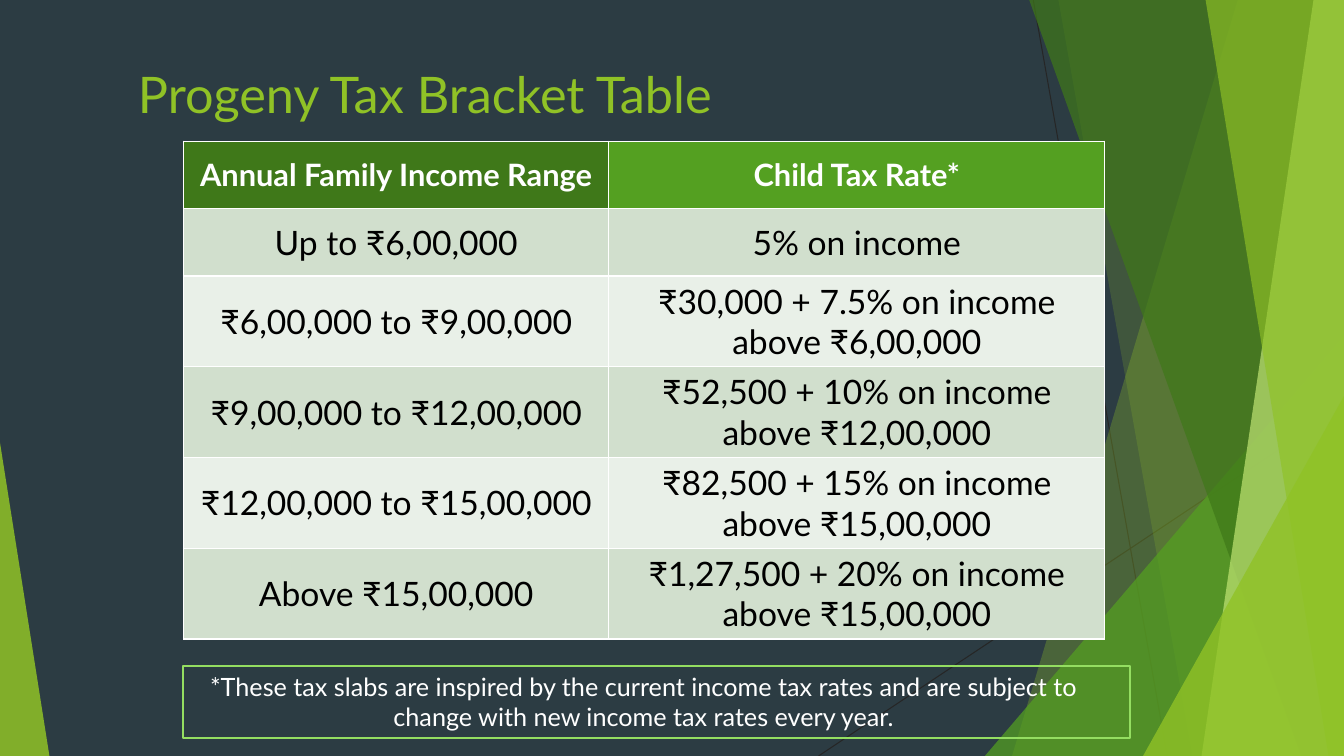
from lxml import etree
from pptx import Presentation
from pptx.dml.color import RGBColor as Rgb
from pptx.enum.shapes import MSO_CONNECTOR as Link, MSO_SHAPE as Kind
from pptx.enum.text import MSO_ANCHOR as Anchor, MSO_AUTO_SIZE as Auto, PP_ALIGN as Align
from pptx.oxml import parse_xml
from pptx.oxml.ns import qn
from pptx.util import Inches, Pt

DRAW = "http://schemas.openxmlformats.org/drawingml/2006/main"
LIME, GREEN, DARK = "90C226", "54A021", "3F7819"

deck = Presentation()
deck.slide_width, deck.slide_height = Inches(13.33), Inches(7.5)
slide = deck.slides.add_slide(deck.slide_layouts[6])
shapes = slide.shapes


def paint(fill, color, alpha=100):
    fill.solid()
    fill.fore_color.rgb = Rgb.from_string(color)
    if alpha < 100:
        tint = fill._xPr.find(qn("a:solidFill"))[0]
        etree.SubElement(tint, qn("a:alpha")).set("val", str(alpha * 1000))


def place(x, y, w, h):
    """Turn percentages of the slide into lengths."""
    across, down = deck.slide_width / 100, deck.slide_height / 100
    return [round(v) for v in (x * across, y * down, w * across, h * down)]


def write(frame, text, size, color, bold=False, align=Align.LEFT):
    frame.word_wrap = True
    par = frame.paragraphs[0]
    par.alignment = align
    run = par.add_run()
    run.text = text
    run.font.name, run.font.size, run.font.bold = "Lato", Pt(size), bold
    run.font.color.rgb = Rgb.from_string(color)


def label(box, text, size, color, **style):
    frame = shapes.add_textbox(*place(*box)).text_frame
    frame.auto_size = Auto.SHAPE_TO_FIT_TEXT
    write(frame, text, size, color, **style)


def finish(shape, color, alpha):
    shape.shadow.inherit = False
    paint(shape.fill, color, alpha)
    shape.line.fill.background()


def thread(x1, y1, x2, y2):
    line = shapes.add_connector(Link.STRAIGHT, *place(x1, y1, x2, y2))
    line.line.width = Pt(0.75)
    line.line.color.rgb = Rgb.from_string("262626")
    etree.SubElement(line._element.spPr, qn("a:effectLst"))


def facet(box, top, foot, color, alpha):
    """Fill from a slanted left edge to the right side of the box."""
    x, y, w, h = place(*box)
    left, low = x + round(w * top / 100), x + round(w * foot / 100)
    pen = shapes.build_freeform(left, y)
    pen.add_line_segments([(x + w, y), (x + w, y + h), (low, y + h)])
    finish(pen.convert_to_shape(), color, alpha)


def wedge(box, tip, color, alpha):
    shape = shapes.add_shape(Kind.ISOSCELES_TRIANGLE, *place(*box))
    shape.adjustments[0] = tip
    finish(shape, color, alpha)


def backdrop(box):
    x, y, w, h = box
    right, base = x + w, y + h
    paint(slide.background.fill, "2C3C43")
    thread(76.88, y, 86.85, base)
    thread(right, 53.73, 60.9, base)

    # Slanted facets and corner wedges
    facet(box, 92.1, 75.3, LIME, 30)
    facet(box, 78.75, 88.73, LIME, 20)
    wedge((73.28, 44.4, right - 73.28, base - 44.4), 1, GREEN, 72)
    facet(box, 76.58, 96.83, DARK, 70)
    facet(box, 97.73, 89.4, "C0E474", 70)
    facet(box, 89.7, 98.85, LIME, 65)
    wedge((85.05, 52.4, right - 85.05, base - 52.4), 1, LIME, 80)
    wedge((x, 58.53, 3.68, base - 58.53), 0, LIME, 85)


def edge(cell):
    props = cell._tc.get_or_add_tcPr()
    for side in "LRTB":
        props.append(parse_xml(
            f'<a:ln{side} xmlns:a="{DRAW}" w="12700"><a:solidFill>'
            f'<a:srgbClr val="FFFFFF"/></a:solidFill></a:ln{side}>'))


def brackets(box, rows, cols, tall):
    x, y, w, h = place(*box)
    table = shapes.add_table(len(rows), len(cols), x, y, w, h).table
    for col, share in zip(table.columns, cols):
        col.width = round(w * share / 100)
    for row, share in zip(table.rows, tall):
        row.height = round(h * share / 100)
    for r, texts in enumerate(rows):
        for c, text in enumerate(texts):
            cell = table.cell(r, c)
            cell.vertical_anchor = Anchor.MIDDLE
            cell.margin_left = cell.margin_right = Inches(0.05)
            edge(cell)
            if r == 0:
                paint(cell.fill, (DARK, GREEN)[c])
                write(cell.text_frame, text, 22, "FFFFFF", bold=True, align=Align.CENTER)
            else:
                paint(cell.fill, ("E9F0E8", "D1DFCD")[r % 2])
                write(cell.text_frame, text, 24, "000000", align=Align.CENTER)


def footnote(box, text):
    x, y, w, h = box
    label((x - 0.97, y, w, h), text, 18, "FFFFFF", align=Align.CENTER)
    frame = shapes.add_shape(Kind.RECTANGLE, *place(*box))
    frame.shadow.inherit = False
    frame.fill.background()
    frame.line.color.rgb = Rgb.from_string("94DE61")
    frame.line.width = Pt(1.5)


RATES = [
    ("Annual Family Income Range", "Child Tax Rate*"),
    ("Up to\u00a0₹6,00,000", "5% on income"),
    ("₹6,00,000 to ₹9,00,000", "₹30,000 + 7.5% on income above ₹6,00,000"),
    ("₹9,00,000 to ₹12,00,000", "₹52,500 + 10% on income above ₹12,00,000"),
    ("₹12,00,000 to ₹15,00,000", "₹82,500 + 15% on income above ₹15,00,000"),
    ("Above ₹15,00,000", "₹1,27,500 + 20% on income above ₹15,00,000"),
]

backdrop((0, 0, 100, 100))
brackets((13.65, 18.67, 68.55, 63.73), RATES,
         cols=(46.17, 53.83), tall=(14, 14, 18, 18, 18, 18))
label((9.53, 7.73, 78.83, 9.47), "Progeny Tax Bracket Table", 36, LIME)
footnote((13.65, 88.13, 70.43, 9.47),
         "*These tax slabs are inspired by the current income tax rates and are "
         "subject to change with new income tax rates every year.")

deck.save("out.pptx")
